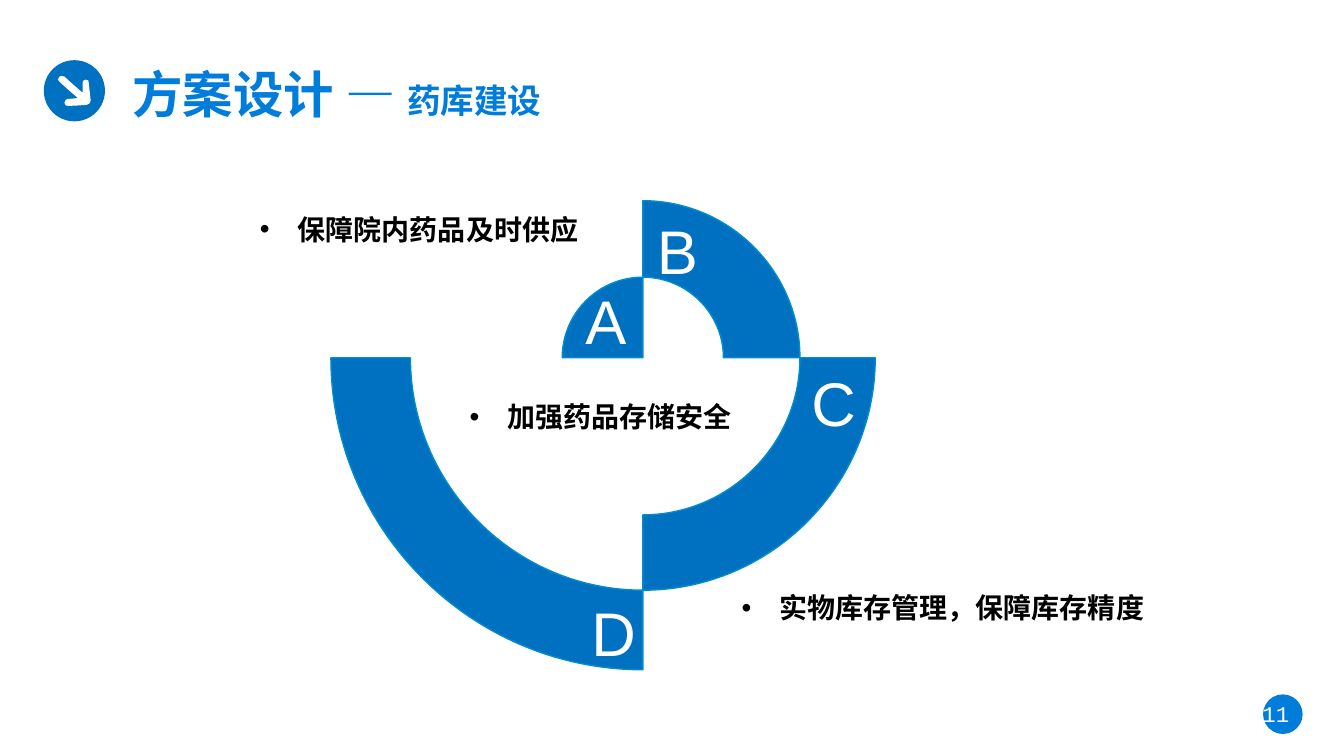
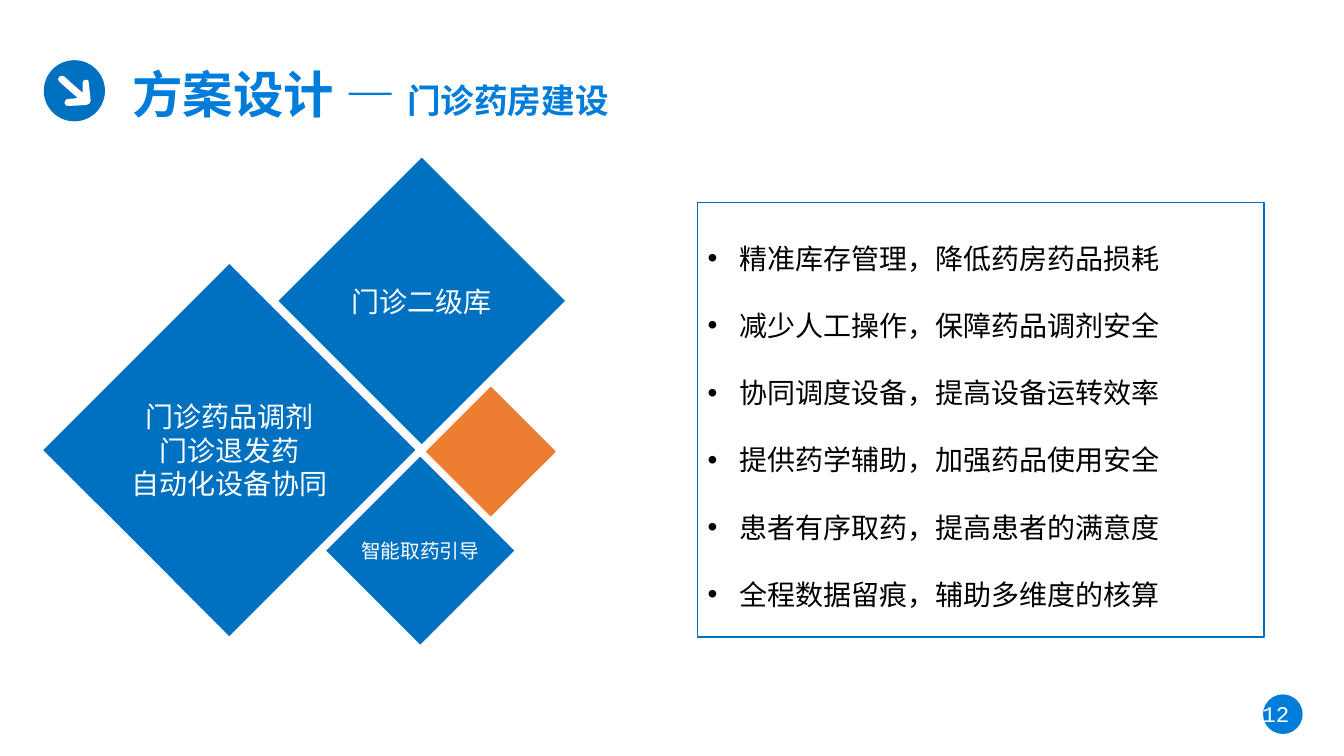
from math import cos, radians, sin
from lxml.etree import SubElement
from pptx import Presentation
from pptx.dml.color import RGBColor
from pptx.enum.shapes import MSO_SHAPE as Kind
from pptx.enum.text import MSO_ANCHOR as Anchor, PP_ALIGN as Align
from pptx.oxml.ns import qn
from pptx.util import Pt

BLUE = RGBColor(0x00, 0x70, 0xC0)
BRIGHT = RGBColor(0x00, 0x7D, 0xDA)
EDGE = RGBColor(0x00, 0x8D, 0xCA)
ORANGE = RGBColor(0xED, 0x7D, 0x31)
WHITE = RGBColor(0xFF, 0xFF, 0xFF)
BLACK = RGBColor(0x00, 0x00, 0x00)
CJK = "Noto Sans CJK SC"

HEAD = "方案设计 — "
TIP = (59, 66.2)
ARROW = [[(59, 66.2), (49.7, 58.3), (46.1, 54.7)],
         [(44.6, 54), (43.2, 54), (42.5, 54.7)],
         [(41, 56.2), (41, 57.6), (42.5, 58.3)],
         [(46.1, 61.9), (55.4, 69.8), (55.4, 69.8)],
         [(55.4, 69.8), (54, 70.6), (48.2, 70.6)],
         [(47.5, 70.6), (46.1, 72), (46.1, 73.4)],
         [(46.1, 74.9), (47.5, 76.3), (49, 75.6)],
         [(53.3, 75.6), (61.9, 74.9), (61.9, 74.9)],
         [(63.4, 74.9), (64.8, 73.4), (64.8, 72)],
         [(64.8, 72), (64.1, 64.8), (63.4, 59)],
         [(64.1, 57.6), (62.6, 56.9), (61.2, 56.9)],
         [(59.8, 56.9), (58.3, 58.3), (59, 59.8)],
         [(59, 64.1), (59, 66.2), (59, 66.2)]]

HUB = (459.2, 255.6)
RADII = [57.6, 112.2, 166, 222.8]
STARTS = [270, 0, 90]
BOW = 0.55
LETTERS = [("A", 411.1, 198.7), ("B", 462.2, 148.3),
           ("C", 572.4, 257), ("D", 415.4, 421.2)]
GOALS = [("保障院内药品及时供应", 178.6, 148.3, 260),
         ("加强药品存储安全", 328.3, 281.9, 206),
         ("实物库存管理，保障库存精度", 522.7, 418.6, 346)]

TILES = [(["门诊药品调剂", "门诊退发药", "自动化设备协同"], 163.8, 321.5, 188, 20, BLUE),
         (["门诊二级库"], 301.3, 214.9, 144.7, 20, BLUE),
         (["智能取药引导"], 300.2, 393.4, 95, 14, BLUE),
         ([], 350.6, 322.6, 64.8, 0, ORANGE)]
GAINS = ["精准库存管理，降低药房药品损耗", "减少人工操作，保障药品调剂安全",
         "协同调度设备，提高设备运转效率", "提供药学辅助，加强药品使用安全",
         "患者有序取药，提高患者的满意度", "全程数据留痕，辅助多维度的核算"]


def paint(shape, fill, line=None):
    shape.shadow.inherit = False
    shape.fill.solid()
    shape.fill.fore_color.rgb = fill
    if line is None:
        shape.line.fill.background()
    else:
        shape.line.color.rgb = line
        shape.line.width = Pt(1)
    return shape


def add(slide, kind, x, y, w, h, fill, line=None):
    shape = slide.shapes.add_shape(kind, Pt(x), Pt(y), Pt(w), Pt(h))
    return paint(shape, fill, line)


def trace(slide, first, steps, fill, line=None):
    dots = [(x * 100, y * 100) for step in steps for x, y in step]
    pen = slide.shapes.build_freeform(first[0] * 100, first[1] * 100,
                                      scale=Pt(0.01))
    pen.add_line_segments(dots, close=True)
    shape = paint(pen.convert_to_shape(), fill, line)
    parts = iter(list(shape._element.iter(qn("a:lnTo"))))
    for step in steps:
        group = [next(parts) for _ in step]
        if len(group) == 3:
            curve = group[0]
            bend = curve.makeelement(qn("a:cubicBezTo"))
            curve.addprevious(bend)
            for part in group:
                bend.append(part[0])
                part.getparent().remove(part)
    return shape


def style(run, size, color, face=CJK, bold=False):
    font = run.font
    font.size, font.bold, font.name = Pt(size), bold, face
    font.color.rgb = color
    SubElement(font._element, qn("a:ea")).set("typeface", CJK)


def write(frame, lines, size, color, face=CJK, bold=False, align=Align.LEFT):
    frame.word_wrap = True
    frame.text = "\n".join(lines)
    for para in frame.paragraphs:
        para.alignment = align
        style(para.runs[0], size, color, face, bold)


def label(slide, x, y, w, h, lines, *look, **more):
    frame = slide.shapes.add_textbox(Pt(x), Pt(y), Pt(w), Pt(h)).text_frame
    write(frame, lines, *look, **more)
    return frame


def bullet(para, indent):
    props = para._p.get_or_add_pPr()
    props.set("marL", str(Pt(indent)))
    props.set("indent", str(-Pt(indent)))
    SubElement(props, qn("a:buFont")).set("typeface", "Arial")
    SubElement(props, qn("a:buChar")).set("char", "•")


def start(deck, topic, page):
    slide = deck.slides.add_slide(deck.slide_layouts[6])
    add(slide, Kind.OVAL, 31.3, 43, 43.7, 43.7, BLUE)
    trace(slide, TIP, ARROW, WHITE)
    add(slide, Kind.OVAL, 902.2, 496, 28.3, 28.3, BRIGHT)
    label(slide, 890.6, 496.8, 51.1, 26.6, [f"{page} "], 16, WHITE,
          "Courier New", align=Align.CENTER)
    title = label(slide, 87.4, 41.8, 372.2, 51.1, [HEAD], 36, BRIGHT,
                  "Calibri", True)
    tail = title.paragraphs[0].add_run()
    tail.text = topic
    style(tail, 24, BRIGHT, "Calibri", True)
    return slide


def arc(radius, begin):
    c, s = cos(radians(begin)), sin(radians(begin))
    local = [(1, 0), (1, BOW), (BOW, 1), (0, 1)]
    return [(HUB[0] + radius * (u * c - v * s), HUB[1] + radius * (u * s + v * c))
            for u, v in local]


def store(deck):
    slide = start(deck, "药库建设", 11)
    for inner, outer, begin in zip(RADII, RADII[1:], STARTS):
        out, back = arc(outer, begin), arc(inner, begin)[::-1]
        trace(slide, out[0], [out[1:], back[:1], back[1:]], BLUE, EDGE)
    core = RADII[0]
    pie = add(slide, Kind.PIE, HUB[0] - core, HUB[1] - core,
              core * 2, core * 2, BLUE, EDGE)
    pie.adjustments[0], pie.adjustments[1] = 108, 162
    for text, x, y in LETTERS:
        label(slide, x, y, 49, 60.5, [text], 44, WHITE, "Arial")
    for text, x, y, width in GOALS:
        frame = label(slide, x, y, width, 36, [text], 20, BLACK, bold=True)
        bullet(frame.paragraphs[0], 27)


def clinic(deck):
    slide = start(deck, "门诊药房建设", 12)
    for lines, x, y, side, size, fill in TILES:
        tile = add(slide, Kind.RECTANGLE, x - side / 2, y - side / 2, side, side,
                   fill, None if lines else fill)
        tile.rotation = 45
    for lines, x, y, side, size, fill in TILES:
        if lines:
            width = max(map(len, lines)) * size + 18
            height = len(lines) * size * 1.2 + 7.2
            label(slide, x - width / 2, y - height / 2, width, height, lines,
                  size, WHITE, align=Align.CENTER)
    panel = add(slide, Kind.RECTANGLE, 498.4, 144.7, 404.6, 310.3, WHITE, BLUE)
    frame = panel.text_frame
    frame.vertical_anchor = Anchor.TOP
    write(frame, GAINS, 20, BLACK)
    for para in frame.paragraphs:
        para.line_spacing = 2.0
        bullet(para, 22.5)


def main():
    deck = Presentation()
    deck.slide_width, deck.slide_height = Pt(960), Pt(540)
    store(deck)
    clinic(deck)
    deck.save("out.pptx")


if __name__ == "__main__":
    main()
